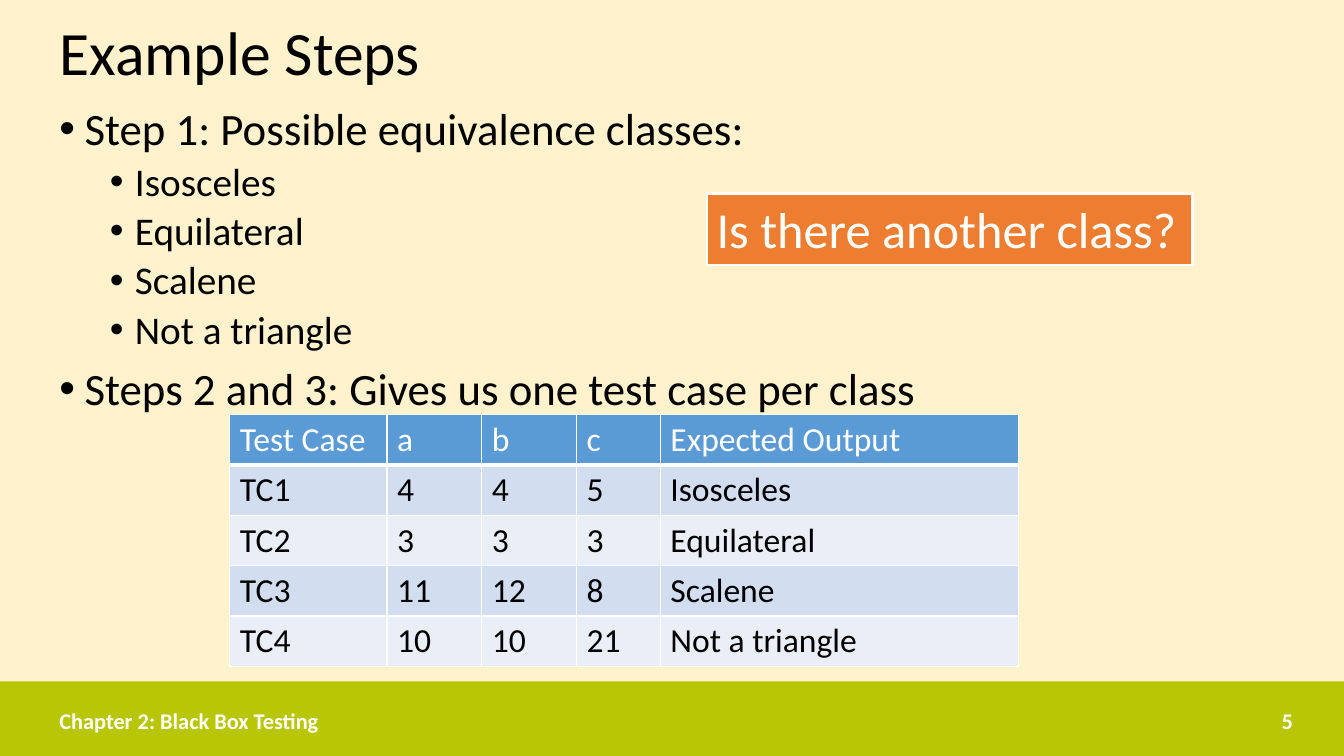
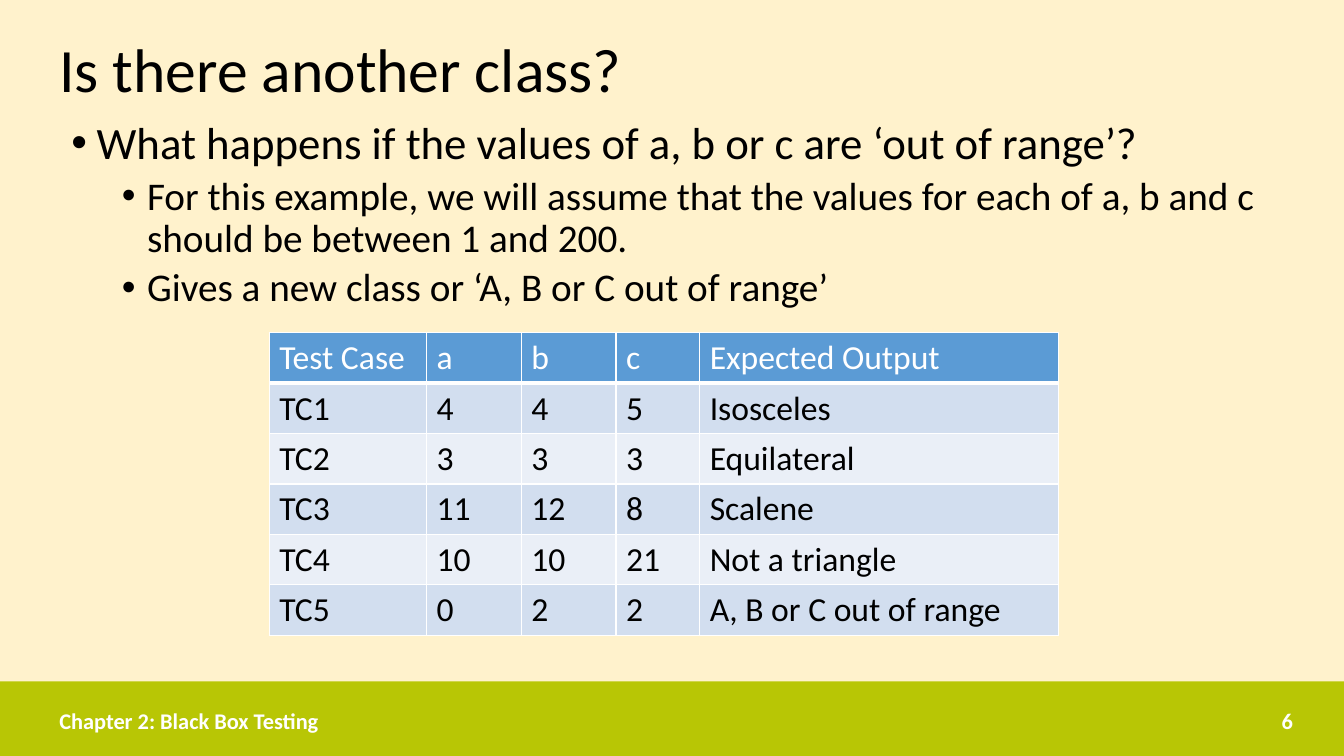
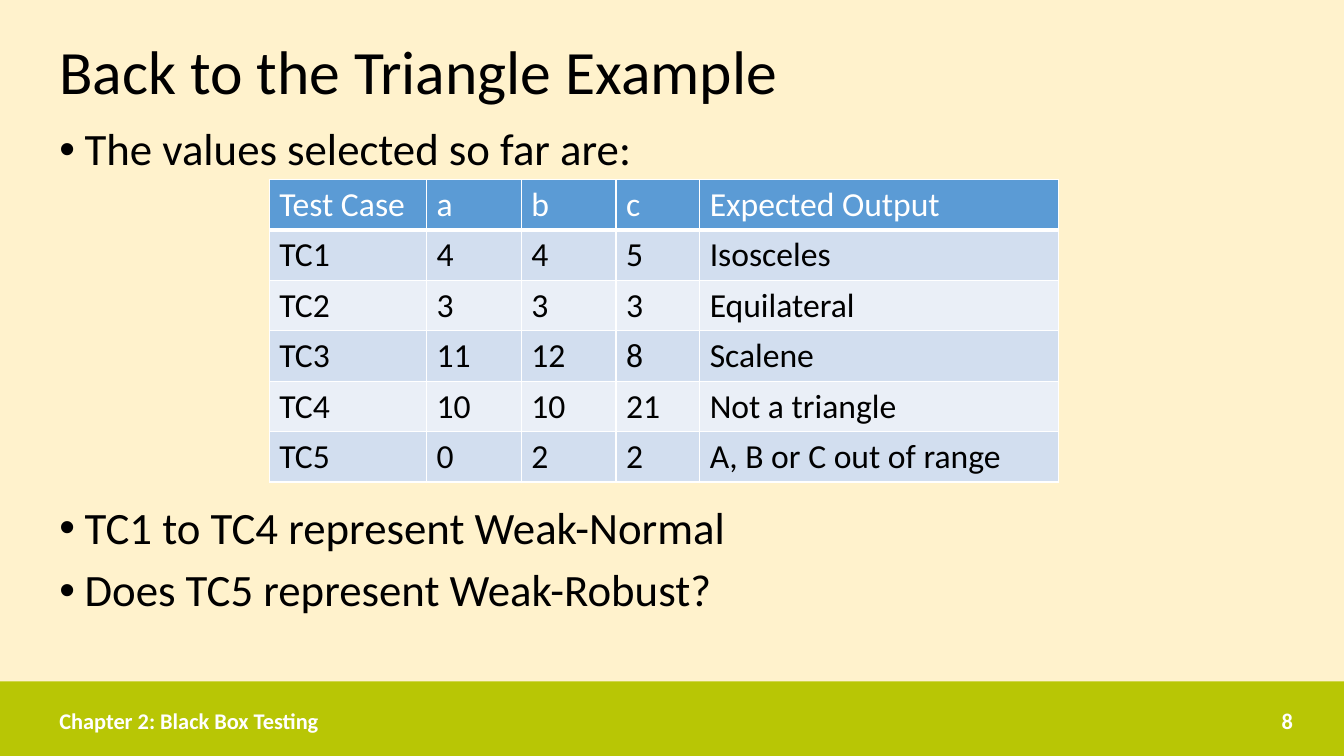
from pptx import Presentation
from pptx.dml.color import RGBColor
from pptx.enum.shapes import MSO_SHAPE
from pptx.enum.text import MSO_ANCHOR, MSO_AUTO_SIZE, PP_ALIGN
from pptx.oxml.ns import qn
from pptx.util import Inches, Pt
from lxml.etree import SubElement

HUES = {
    "page": "FFF2CC",
    "band": "B8C605",
    "ink": "000000",
    "white": "FFFFFF",
    "head": "5B9BD5",
    "odd": "D2DEEF",
    "even": "EAEFF7",
    "call": "ED7D31",
}
FONT = "Calibri"
LEFT, WIDE = 3.68, 93.25
COLS = (11.7, 7.05, 7.05, 6.23, 26.68)
ROW = 6.67
LEVELS = ((32, 10, 0.25), (28, 5, 0.75))
CASES = (
    ("Test Case", "a", "b", "c", "Expected Output"),
    ("TC1", "4", "4", "5", "Isosceles"),
    ("TC2", "3", "3", "3", "Equilateral"),
    ("TC3", "11", "12", "8", "Scalene"),
    ("TC4", "10", "10", "21", "Not a triangle"),
    ("TC5", "0", "2", "2", "A, B or C out of range"),
)


def tint(name):
    return RGBColor.from_string(HUES[name])


class Deck:
    def __init__(self):
        self.show = Presentation()
        self.show.slide_width = Inches(13.33)
        self.show.slide_height = Inches(7.5)
        self.slide = None

    def across(self, share):
        return int(self.show.slide_width * share / 100)

    def down(self, share):
        return int(self.show.slide_height * share / 100)

    def place(self, left, top, width, height):
        return self.across(left), self.down(top), self.across(width), self.down(height)

    def say(self, par, text, size, hue="ink", bold=False):
        run = par.add_run()
        run.text = text
        font = run.font
        font.name, font.size, font.bold = FONT, Pt(size), bold
        font.color.rgb = tint(hue)

    def frame(self, area, anchor=MSO_ANCHOR.MIDDLE):
        frame = self.slide.shapes.add_textbox(*self.place(*area)).text_frame
        frame.word_wrap = True
        frame.vertical_anchor = anchor
        return frame

    def block(self, area, hue):
        shape = self.slide.shapes.add_shape(MSO_SHAPE.RECTANGLE, *self.place(*area))
        shape.shadow.inherit = False
        shape.fill.solid()
        shape.fill.fore_color.rgb = tint(hue)
        shape.line.fill.background()
        return shape

    def page(self, title, top, height, number):
        self.slide = self.show.slides.add_slide(self.show.slide_layouts[6])
        fill = self.slide.background.fill
        fill.solid()
        fill.fore_color.rgb = tint("page")
        self.block((0, 90.13, 100, 9.87), "band")
        par = self.frame((LEFT, top, WIDE, height)).paragraphs[0]
        par.line_spacing = 0.9
        self.say(par, title, 44)
        self.note("Chapter 2: Black Box Testing", LEFT, 46.43, PP_ALIGN.LEFT)
        self.note(str(number), 70.6, 26.33, PP_ALIGN.RIGHT)

    def note(self, text, left, width, align):
        par = self.frame((left, 92.67, width, 5.33)).paragraphs[0]
        par.alignment = align
        self.say(par, text, 16, "white", True)

    def points(self, area, items, gaps=None):
        frame = self.frame(area, MSO_ANCHOR.TOP)
        for spot, (level, text) in enumerate(items):
            par = frame.add_paragraph() if spot else frame.paragraphs[0]
            size, space, indent = LEVELS[level]
            par.level = level
            par.line_spacing = 0.9
            par.space_before = Pt((gaps or {}).get(spot, space) if spot else 0)
            props = par._p.get_or_add_pPr()
            props.set("marL", str(Inches(indent)))
            props.set("indent", str(Inches(-0.25)))
            SubElement(props, qn("a:buFont")).set("typeface", "Arial")
            SubElement(props, qn("a:buChar")).set("char", "•")
            self.say(par, text, size)

    def edge(self, cell, head):
        props = cell._tc.get_or_add_tcPr()
        for side in "LRTB":
            line = SubElement(props, qn("a:ln" + side))
            line.set("w", str(Pt(3 if head and side == "B" else 1)))
            fill = SubElement(line, qn("a:solidFill"))
            SubElement(fill, qn("a:srgbClr")).set("val", HUES["white"])

    def table(self, left, top, rows):
        area = self.place(left, top, sum(COLS), ROW * len(rows))
        grid = self.slide.shapes.add_table(len(rows), len(COLS), *area).table
        for col, width in zip(grid.columns, COLS):
            col.width = self.across(width)
        for y, row in enumerate(rows):
            grid.rows[y].height = self.down(ROW)
            hue = ("even", "odd")[y % 2] if y else "head"
            for x, text in enumerate(row):
                cell = grid.cell(y, x)
                self.edge(cell, y == 0)
                cell.fill.solid()
                cell.fill.fore_color.rgb = tint(hue)
                par = cell.text_frame.paragraphs[0]
                self.say(par, text, 24, "ink" if y else "white")

    def call(self, area, text):
        shape = self.block(area, "call")
        shape.line.color.rgb = tint("white")
        shape.line.width = Pt(1.5)
        frame = shape.text_frame
        frame.word_wrap = False
        frame.auto_size = MSO_AUTO_SIZE.SHAPE_TO_FIT_TEXT
        frame.vertical_anchor = MSO_ANCHOR.TOP
        par = frame.paragraphs[0]
        par.alignment = PP_ALIGN.LEFT
        self.say(par, text, 36, "white")


def main():
    deck = Deck()

    deck.page("Example Steps", 1.33, 12.13, 5)
    deck.points((LEFT, 13.47, 80.1, 76.4), (
        (0, "Step 1: Possible equivalence classes:"),
        (1, "Isosceles"),
        (1, "Equilateral"),
        (1, "Scalene"),
        (1, "Not a triangle"),
        (0, "Steps 2 and 3: Gives us one test case per class"),
    ))
    deck.table(17.1, 54.8, CASES[:5])
    deck.call((52.58, 25.6, 36.15, 9.47), "Is there another class?")

    deck.page("Is there another class?", 3.6, 11.87, 6)
    deck.points((4.58, 15.33, 89.55, 36.8), (
        (0, "What happens if the values of a, b or c are ‘out of range’?"),
        (1, "For this example, we will assume that the values for each of "
            "a, b and c should be between 1 and 200."),
        (1, "Gives a new class or ‘A, B or C out of range’"),
    ))
    deck.table(20.03, 44, CASES)

    deck.page("Back to the Triangle Example", 3.6, 12.53, 8)
    deck.points((LEFT, 16.13, WIDE, 72.13), (
        (0, "The values selected so far are:"),
        (0, "TC1 to TC4 represent Weak-Normal"),
        (0, "Does TC5 represent Weak-Robust?"),
    ), {1: 236})
    deck.table(20.03, 23.73, CASES)

    deck.show.save("out.pptx")


if __name__ == "__main__":
    main()
